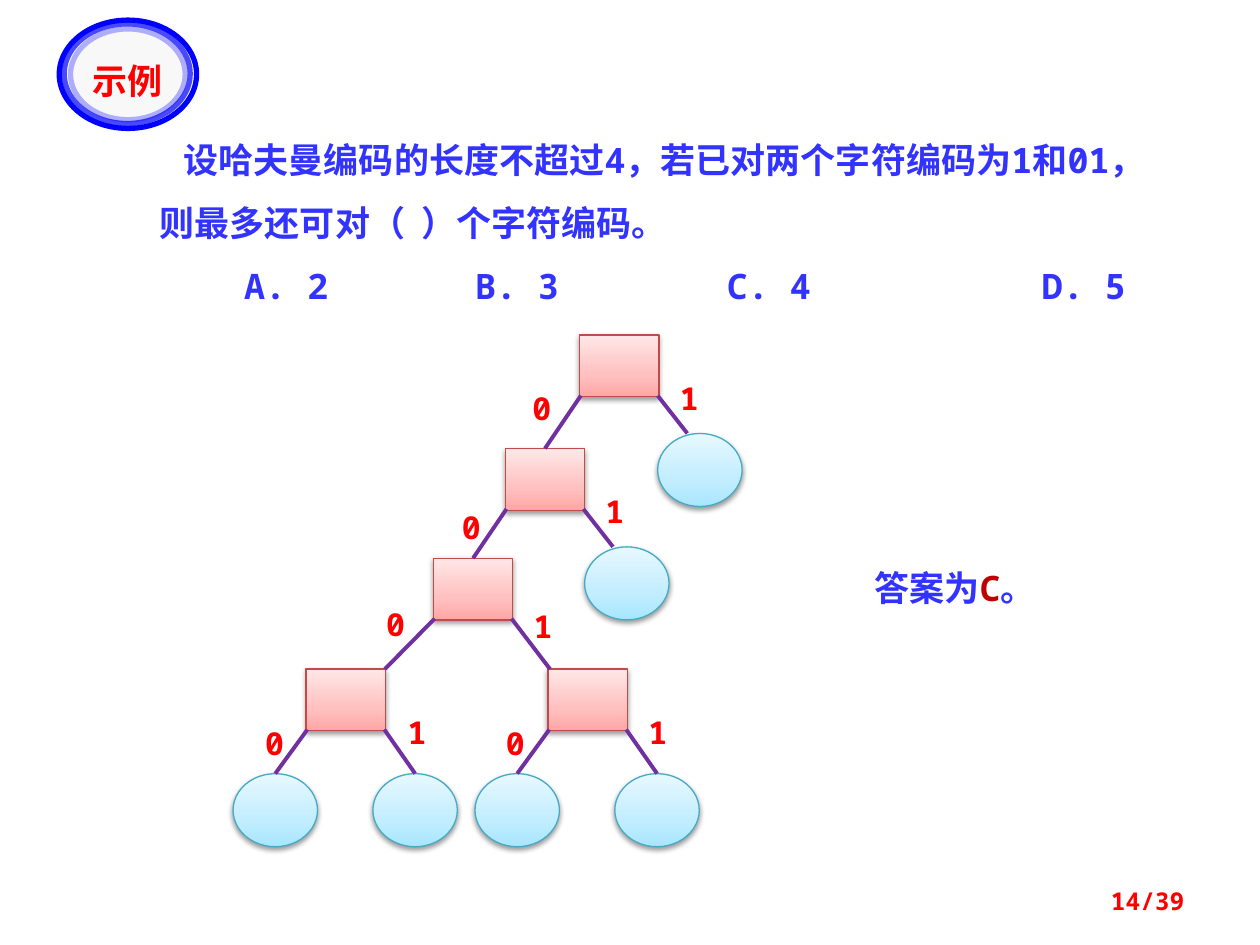
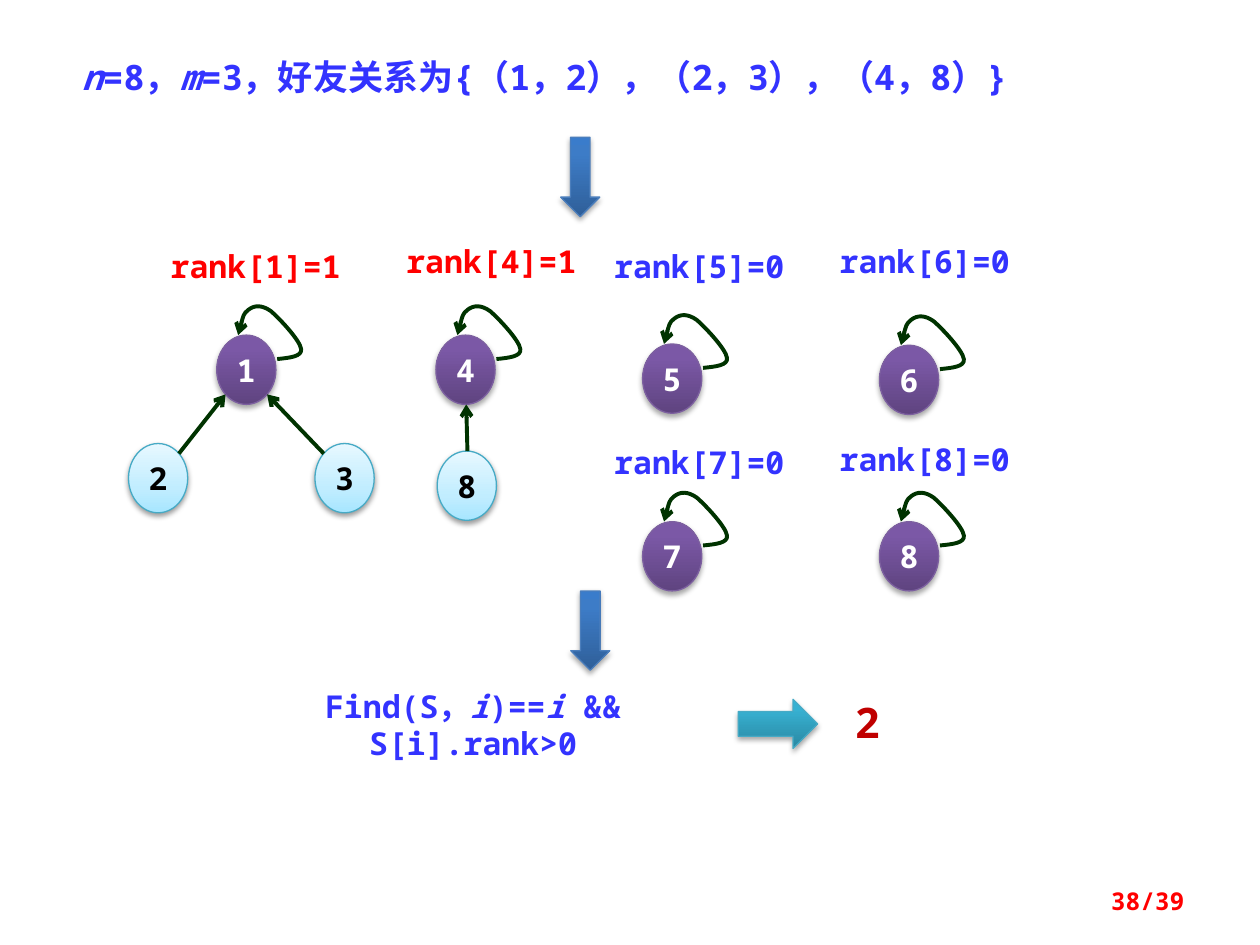
from lxml import etree
from pptx import Presentation
from pptx.dml.color import RGBColor
from pptx.enum import shapes, text
from pptx.oxml.ns import qn
from pptx.util import Inches, Pt

LATIN, CJK = "Noto Sans Mono", "Noto Sans CJK JP"
BLUE, RED, DARK_RED = "3333FF", "FF0000", "C00000"
WHITE, BLACK, EDGE, LINK = "FFFFFF", "000000", "7030A0", "003300"
LEFT, CENTER, RIGHT = text.PP_ALIGN.LEFT, text.PP_ALIGN.CENTER, text.PP_ALIGN.RIGHT
KIND = shapes.MSO_SHAPE

# gradient stops from bottom to top, outline, shadow opacity, shadow distance
PALE = (0, 35, 100)
DEEP = (0, 80, 100)
STYLES = {
    "pink": (PALE, ("FFA6A5", "FFC0BF", "FFE7E7"), "BF4C48", 38, 1.6),
    "sky": (PALE, ("A7E6FF", "C1EDFF", "E7F8FF"), "46AAC5", 38, 1.6),
    "purple": (DEEP, ("5F4480", "7B58A6", "7C57A8"), "7D60A0", 35, 1.8),
    "blue": (DEEP, ("2F5F99", "3D7CC7", "3A7CCB"), "4B7EBC", 35, 1.8),
    "teal": (DEEP, ("2A88A2", "37B1D2", "34B4D6"), "46AAC5", 35, 1.8),
}

# Slide 1: question and code tree
QUESTION = "设哈夫曼编码的长度不超过4，若已对两个字符编码为1和01，则最多还可对（  ）个字符编码。"
OPTIONS = ["A. 2", "B. 3", "C. 4", "D. 5"]
OPTION_TABS = [0.67, 2.5, 4.5, 7.0]
ANSWER = [("答案为", {}), ("C", {"color": DARK_RED}), ("。", {})]
BADGE_RINGS = [  # box, opacity of the outline
    ((0.47, 0.16, 1.09, 0.86), 100),
    ((0.51, 0.19, 1.0, 0.79), 70),
    ((0.56, 0.23, 0.91, 0.72), 30),
]
BOX, LEAF = (0.63, 0.49), (0.67, 0.58)
# code prefix: corner
INNER = {"": (4.6, 2.66), "0": (4.01, 3.56), "00": (3.44, 4.43),
         "000": (2.43, 5.31), "001": (4.35, 5.31)}
LEAVES = {"1": (5.22, 3.44), "01": (4.64, 4.34), "0000": (1.85, 6.14),
          "0001": (2.96, 6.14), "0010": (3.77, 6.14), "0011": (4.88, 6.14)}
# code: corner of the bit label
BIT_LABELS = {"0": (4.13, 3.04), "1": (5.3, 2.96), "00": (3.57, 3.98),
              "01": (4.71, 3.86), "000": (2.97, 4.75), "001": (4.14, 4.77),
              "0000": (2.01, 5.7), "0001": (3.14, 5.61),
              "0010": (3.92, 5.7), "0011": (5.05, 5.61)}
# edges that end beside the middle of the child's top
END_SHIFT = {"1": -0.1, "01": -0.11, "000": 0.31, "001": -0.3}

# Slide 2: friend circles
RELATION = [("n", {"italic": True}), ("=8，", {}), ("m", {"italic": True}),
            ("=3，好友关系为{（1，2），（2，3），（4，8）}", {})]
CONDITION = [("Find(S，", {}), ("i", {"italic": True}), (")==", {}),
             ("i", {"italic": True}), (" && S[i].rank>0", {})]
NODE = (0.47, 0.55)
ROOTS = [  # number, rank, node corner, label corner
    (1, 1, (1.72, 2.66), (1.25, 1.91)),
    (4, 1, (3.46, 2.66), (3.12, 1.87)),
    (5, 0, (5.1, 2.73), (4.77, 1.91)),
    (6, 0, (6.98, 2.74), (6.56, 1.87)),
    (7, 0, (5.1, 4.14), (4.77, 3.47)),
    (8, 0, (6.98, 4.14), (6.56, 3.44)),
]
MEMBERS = [  # number, node corner, link start, link end
    (2, (1.02, 3.52), (1.42, 3.6), (1.79, 3.13)),
    (3, (2.5, 3.52), (2.57, 3.6), (2.12, 3.13)),
    (8, (3.47, 3.58), (3.71, 3.58), (3.7, 3.21)),
]
# self link, from the node's corner: extent, start, then curves of three points
LOOP_MIN, LOOP_MAX = (0.17, -0.24), (0.68, 0.19)
LOOP_START = (0.48, 0.19)
LOOP_CURVES = [
    ((0.58, 0.18), (0.68, 0.17), (0.67, 0.11)),
    ((0.66, 0.04), (0.5, -0.13), (0.43, -0.19)),
    ((0.36, -0.24), (0.3, -0.24), (0.25, -0.2)),
    ((0.21, -0.17), (0.19, -0.08), (0.17, 0)),
]
ARROWS = [
    (KIND.DOWN_ARROW, (4.45, 1.09, 0.31, 0.63), "blue"),
    (KIND.DOWN_ARROW, (4.53, 4.69, 0.31, 0.63), "blue"),
    (KIND.RIGHT_ARROW, (5.86, 5.55, 0.63, 0.39), "teal"),
]


def rgb(code):
    return RGBColor.from_string(code)


def inches(values):
    return [Inches(v) for v in values]


def sub(parent, tag, **attrs):
    child = etree.SubElement(parent, qn(tag))
    for key, value in attrs.items():
        child.set(key, str(value))
    return child


def write(paragraph, runs, align=LEFT, **base):
    """Fill a paragraph with (words, format) runs over a base format."""
    paragraph.alignment = align
    for words, extra in runs:
        look = {"size": 18, "color": BLUE, "bold": True, "italic": False,
                "latin": LATIN, **base, **extra}
        run = paragraph.add_run()
        run.text = words
        values = {"size": Pt(look["size"]), "bold": look["bold"],
                  "italic": look["italic"], "name": look["latin"]}
        for key, value in values.items():
            setattr(run.font, key, value)
        run.font.color.rgb = rgb(look["color"])
        sub(run.font._element, "a:ea", typeface=CJK)


def set_frame(frame, side=0.1, anchor=text.MSO_ANCHOR.TOP):
    values = {"word_wrap": True, "vertical_anchor": anchor,
              "margin_left": Inches(side), "margin_right": Inches(side)}
    for key, value in values.items():
        setattr(frame, key, value)


def add_text(slide, box, runs, align=LEFT, side=0.1,
             anchor=text.MSO_ANCHOR.TOP, **look):
    if isinstance(runs, str):
        runs = [(runs, {})]
    frame = slide.shapes.add_textbox(*inches(box)).text_frame
    set_frame(frame, side, anchor)
    write(frame.paragraphs[0], runs, align, **look)
    return frame


def add_glossy(slide, kind, box, style, words="", color=BLACK):
    """Add a shape with a vertical gradient and a soft shadow below."""
    places, colors, outline, opacity, distance = STYLES[style]
    shape = slide.shapes.add_shape(kind, *inches(box))
    shape.fill.gradient()
    grad = shape._element.spPr.find(qn("a:gradFill"))
    for child in list(grad):
        grad.remove(child)
    stops = sub(grad, "a:gsLst")
    for place, code in zip(places, colors):
        sub(sub(stops, "a:gs", pos=place * 1000), "a:srgbClr", val=code)
    sub(grad, "a:lin", ang=270 * 60000, scaled=0)
    shape.line.color.rgb = rgb(outline)
    shape.line.width = Pt(0.75)
    shape.shadow.inherit = False
    shadow = sub(shape._element.spPr.find(qn("a:effectLst")), "a:outerShdw",
                 blurRad=Pt(3.1), dist=Pt(distance), dir=90 * 60000, rotWithShape=0)
    sub(sub(shadow, "a:srgbClr", val=BLACK), "a:alpha", val=opacity * 1000)
    if words:
        set_frame(shape.text_frame, 0, text.MSO_ANCHOR.MIDDLE)
        write(shape.text_frame.paragraphs[0], [(words, {})], CENTER, color=color)
    return shape


def style_line(line, color, arrow=False):
    line.color.rgb = rgb(color)
    line.width = Pt(2.25)
    if arrow:
        sub(line._get_or_add_ln(), "a:tailEnd", type="arrow")


def add_line(slide, start, end, color, arrow=False):
    connector = slide.shapes.add_connector(
        shapes.MSO_CONNECTOR.STRAIGHT, *inches(start + end))
    style_line(connector.line, color, arrow)
    sub(connector._element.spPr, "a:effectLst")
    return connector


def add_loop(slide, corner):
    """Add a freeform over the loop's extent, then give it the curved outline."""
    low, high = (inches((corner[0] + x, corner[1] + y))
                 for x, y in (LOOP_MIN, LOOP_MAX))
    builder = slide.shapes.build_freeform(*low)
    builder.add_line_segments([high], close=False)
    loop = builder.convert_to_shape()
    outline = loop._element.spPr.find(".//" + qn("a:path"))
    for step in list(outline):
        outline.remove(step)
    steps = [("a:moveTo", [LOOP_START])]
    steps += [("a:cubicBezTo", curve) for curve in LOOP_CURVES]
    for tag, points in steps:
        step = sub(outline, tag)
        for x, y in points:
            sub(step, "a:pt", x=Inches(x - LOOP_MIN[0]), y=Inches(y - LOOP_MIN[1]))
    loop.fill.background()
    loop.shadow.inherit = False
    style_line(loop.line, LINK, arrow=True)


def add_badge(slide):
    for box, opacity in BADGE_RINGS:
        ring = slide.shapes.add_shape(KIND.OVAL, *inches(box))
        ring.shadow.inherit = False
        ring.line.color.rgb = rgb("0000FF")
        ring.line.width = Pt(3)
        if opacity == 100:
            ring.fill.solid()
            ring.fill.fore_color.rgb = rgb("F8F8F8")
        else:
            ring.fill.background()
            color = ring.line._get_or_add_ln().find(".//" + qn("a:srgbClr"))
            sub(color, "a:alpha", val=opacity * 1000)
    add_text(slide, (0.53, 0.42, 0.96, 0.39), "示例", CENTER,
             size=20, color=RED, latin=CJK)


def add_question(slide):
    frame = add_text(slide, (1.17, 0.88, 8.13, 1.56), QUESTION, size=20)
    first, options = frame.paragraphs[0], frame.add_paragraph()
    first._p.get_or_add_pPr().set("indent", str(Inches(0.19)))
    tabs = sub(options._p.get_or_add_pPr(), "a:tabLst")
    for place in OPTION_TABS:
        sub(tabs, "a:tab", pos=Inches(place), algn="l")
    write(options, [("".join("\t" + option for option in OPTIONS), {})], size=20)
    for paragraph in frame.paragraphs:
        paragraph.line_spacing = 1.5


def add_tree(slide):
    nodes = {}
    for corners, kind, size, style in ((INNER, KIND.RECTANGLE, BOX, "pink"),
                                       (LEAVES, KIND.OVAL, LEAF, "sky")):
        for code, corner in corners.items():
            nodes[code] = add_glossy(slide, kind, corner + size, style)
    for code, label in BIT_LABELS.items():
        parent, bit = code[:-1], code[-1]
        x, top = INNER[parent]
        start = (x + (0.62 if bit == "1" else 0.01), top + 0.48)
        if code in INNER:
            child_x, child_top = INNER[code]
            middle = child_x + BOX[0] / 2
        else:
            child_x, child_top = LEAVES[code]
            middle = child_x + LEAF[0] / 2
        edge = add_line(slide, start, (middle + END_SHIFT.get(code, 0), child_top), EDGE)
        if code not in END_SHIFT:
            edge.end_connect(nodes[code], 0)
        add_text(slide, label + (0.34, 0.4), bit, CENTER, side=0, color=RED)


def add_forest(slide):
    for number, rank, corner, label in ROOTS:
        add_glossy(slide, KIND.OVAL, corner + NODE, "purple", str(number), WHITE)
        add_loop(slide, corner)
        add_text(slide, label + (1.56, 0.4), f"rank[{number}]={rank}", CENTER,
                 side=0, color=RED if rank else BLUE)
    for number, corner, start, end in MEMBERS:
        add_glossy(slide, KIND.OVAL, corner + NODE, "sky", str(number))
        add_line(slide, start, end, LINK, arrow=True)


def add_slide(deck, page):
    slide = deck.slides.add_slide(deck.slide_layouts[6])
    add_text(slide, (7.17, 6.95, 2.33, 0.4), f"{page}/39", RIGHT,
             anchor=text.MSO_ANCHOR.MIDDLE, size=14, color=RED)
    return slide


def main():
    deck = Presentation()
    deck.slide_width, deck.slide_height = inches((10, 7.5))

    coding = add_slide(deck, 14)
    add_question(coding)
    add_badge(coding)
    add_tree(coding)
    add_text(coding, (6.8, 4.45, 1.56, 0.44), ANSWER, CENTER, size=20)

    friends = add_slide(deck, 38)
    add_text(friends, (0.55, 0.39, 8.44, 0.44), RELATION, size=20)
    add_forest(friends)
    for kind, box, style in ARROWS:
        add_glossy(friends, kind, box, style)
    add_text(friends, (1.8, 5.4, 3.91, 0.71), CONDITION, CENTER)
    add_text(friends, (6.61, 5.48, 0.55, 0.5), "2", CENTER, size=24, color=DARK_RED)

    deck.save("out.pptx")


if __name__ == "__main__":
    main()
